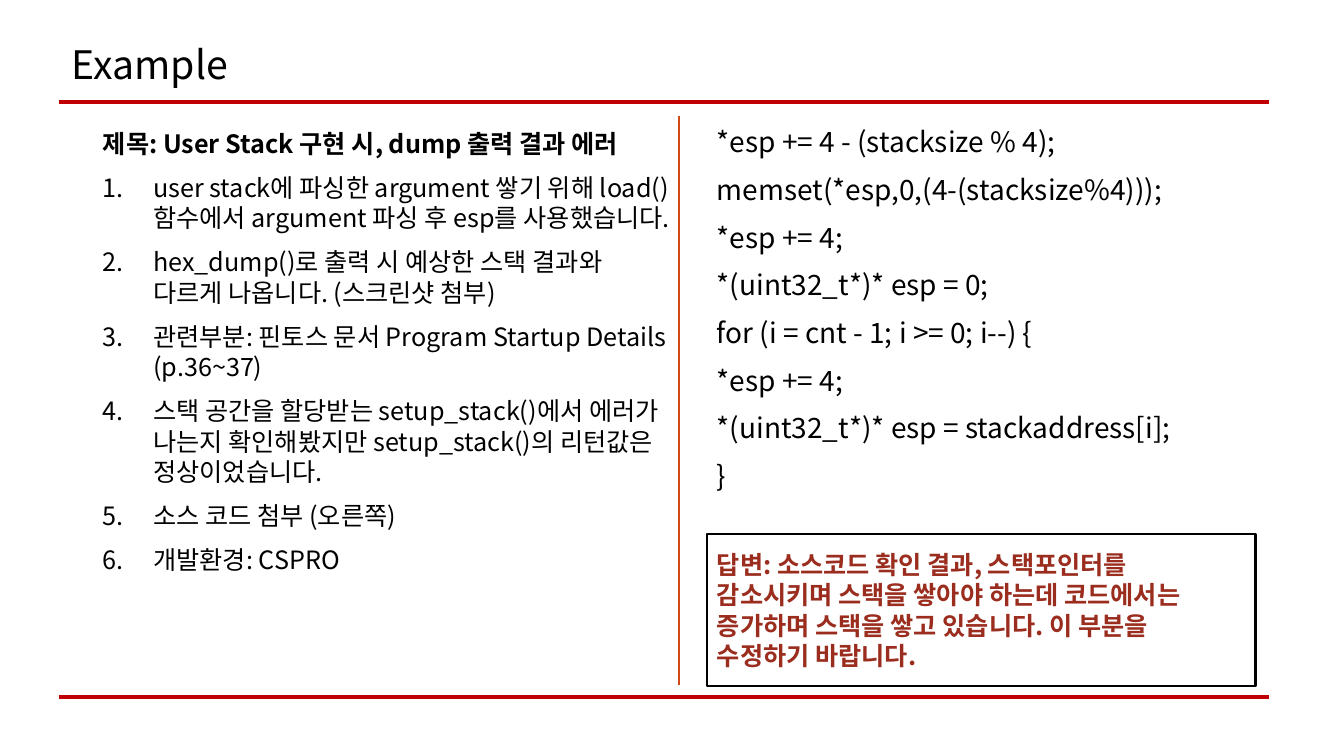
"""Build a slide showing an example question about a user stack and its answer."""
from lxml.etree import SubElement
from pptx import Presentation
from pptx.dml.color import RGBColor
from pptx.enum.shapes import MSO_CONNECTOR, MSO_SHAPE
from pptx.enum.text import MSO_ANCHOR, PP_ALIGN
from pptx.oxml.ns import qn
from pptx.util import Emu, Pt

BLACK = RGBColor(0x00, 0x00, 0x00)
RULE_RED = RGBColor(0xC0, 0x00, 0x00)
DIVIDER_ORANGE = RGBColor(0xD3, 0x48, 0x17)
ANSWER_RED = RGBColor(0x9B, 0x2D, 0x1F)
FONT = "Noto Sans CJK KR"


def pixels(count):
    """Turn whole pixels into EMU."""
    return Emu(round(count * 914400 / 100.8))


class SlideBuilder:
    """Hold the style and the current slide."""

    def __init__(self, slide, font_name):
        self.slide = slide
        self.font_name = font_name

    def line(self, start, end, color, width):
        """Draw a straight line."""
        connector = self.slide.shapes.add_connector(
            MSO_CONNECTOR.STRAIGHT, *map(pixels, start + end))
        connector.line.color.rgb = color
        connector.line.width = Pt(width)
        SubElement(connector._element.spPr, qn("a:effectLst"))

    def style(self, paragraph, size, color=BLACK, bold=False):
        """Set the font of a paragraph for Latin and Korean text."""
        font = paragraph.font
        font.size = Pt(size)
        font.bold = bold
        font.color.rgb = color
        font.name = self.font_name
        SubElement(font._element, qn("a:ea"), typeface=self.font_name)

    def number(self, paragraph):
        """Number a paragraph with a hanging indent."""
        properties = paragraph._element.get_or_add_pPr()
        properties.set("marL", "457200")
        properties.set("indent", "-457200")
        SubElement(properties, qn("a:buFont"), typeface="+mj-lt")
        SubElement(properties, qn("a:buAutoNum"), type="arabicPeriod")

    def text(self, box, lines, size, heading=None, spacing=None):
        """Add a text box; lines below a heading are numbered."""
        frame = self.slide.shapes.add_textbox(*map(pixels, box)).text_frame
        frame.word_wrap = True
        everything = [heading, *lines] if heading else lines
        for index, content in enumerate(everything):
            paragraph = frame.add_paragraph() if index else frame.paragraphs[0]
            paragraph.text = content
            paragraph.space_before = Pt(10)
            if spacing:
                paragraph.line_spacing = spacing
            if heading and index:
                self.number(paragraph)
            self.style(paragraph, size, bold=content == heading)

    def framed_text(self, box, content, size, color):
        """Add an outlined rectangle with bold text."""
        shape = self.slide.shapes.add_shape(MSO_SHAPE.RECTANGLE, *map(pixels, box))
        shape.shadow.inherit = False
        shape.fill.background()
        shape.line.color.rgb = BLACK
        shape.line.width = Pt(2)
        frame = shape.text_frame
        frame.word_wrap = True
        frame.vertical_anchor = MSO_ANCHOR.MIDDLE
        paragraph = frame.paragraphs[0]
        paragraph.text = content
        paragraph.alignment = PP_ALIGN.LEFT
        self.style(paragraph, size, color, bold=True)


QUESTION_HEADING = "제목: User Stack 구현 시, dump 출력 결과 에러"
QUESTION_STEPS = [
    "user stack에 파싱한 argument 쌓기 위해 load()함수에서 argument 파싱 후 esp를 사용했습니다.",
    "hex_dump()로 출력 시 예상한 스택 결과와 다르게 나옵니다. (스크린샷 첨부)",
    "관련부분: 핀토스 문서 Program Startup Details (p.36~37)",
    "스택 공간을 할당받는 setup_stack()에서 에러가 나는지 확인해봤지만 "
    "setup_stack()의 리턴값은 정상이었습니다.",
    "소스 코드 첨부 (오른쪽)",
    "개발환경: CSPRO",
]
SOURCE_CODE = [
    "*esp += 4 - (stacksize % 4);",
    "memset(*esp,0,(4-(stacksize%4)));",
    "*esp += 4;",
    "*(uint32_t*)* esp = 0;",
    "for (i = cnt - 1; i >= 0; i--) {",
    "*esp += 4;",
    "*(uint32_t*)* esp = stackaddress[i];",
    "}",
]
ANSWER = ("답변: 소스코드 확인 결과, 스택포인터를 감소시키며 스택을 쌓아야 하는데 "
          "코드에서는 증가하며 스택을 쌓고 있습니다. 이 부분을 수정하기 바랍니다.")

presentation = Presentation()
presentation.slide_width = pixels(1344)
presentation.slide_height = pixels(756)
builder = SlideBuilder(
    presentation.slides.add_slide(presentation.slide_layouts[6]), FONT)

for rule_y in (102, 697):
    builder.line((59, rule_y), (1269, rule_y), RULE_RED, 2.25)
builder.text((62, 41, 1159, 53), ["Example"], 28, spacing=0.9)
builder.text((93, 123, 587, 490), QUESTION_STEPS, 18, heading=QUESTION_HEADING)
builder.text((707, 120, 580, 380), SOURCE_CODE, 20)
builder.framed_text((707, 534, 549, 152), ANSWER, 18, ANSWER_RED)
builder.line((679, 116), (679, 685), DIVIDER_ORANGE, 1.75)

presentation.save("out.pptx")
